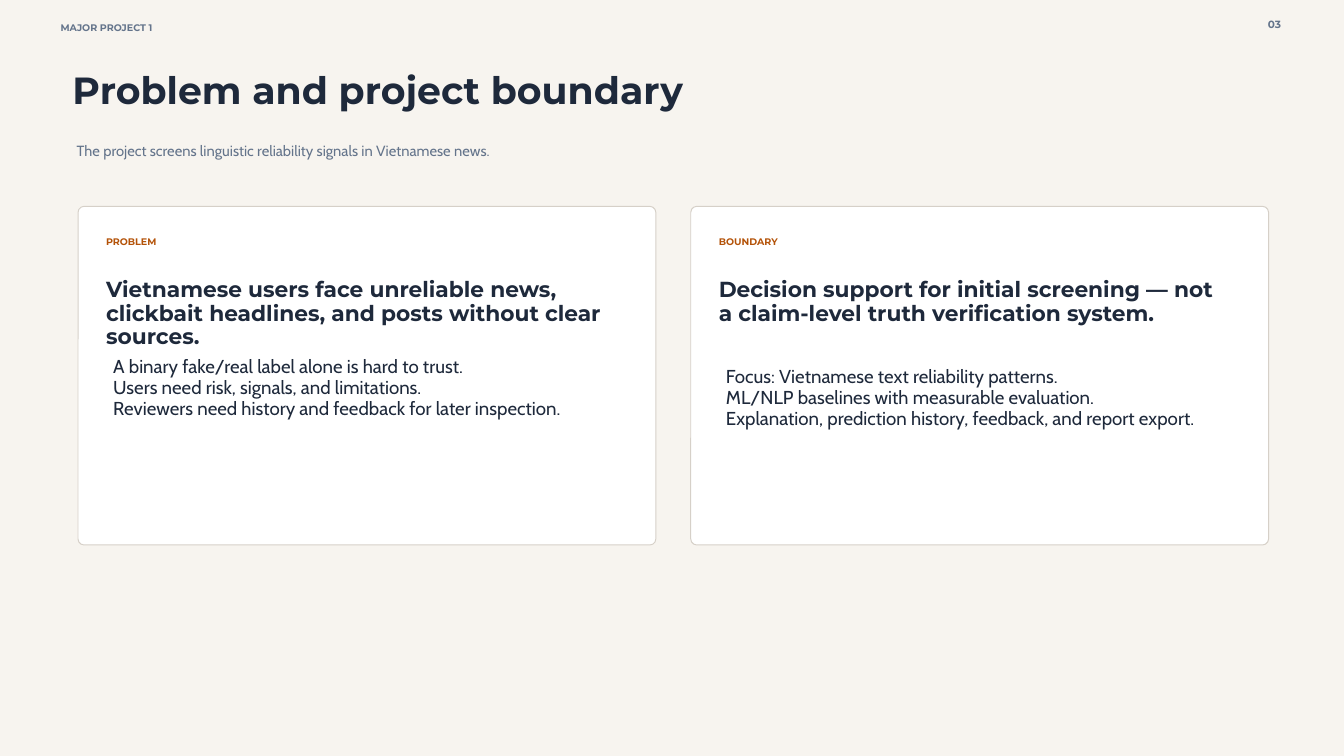
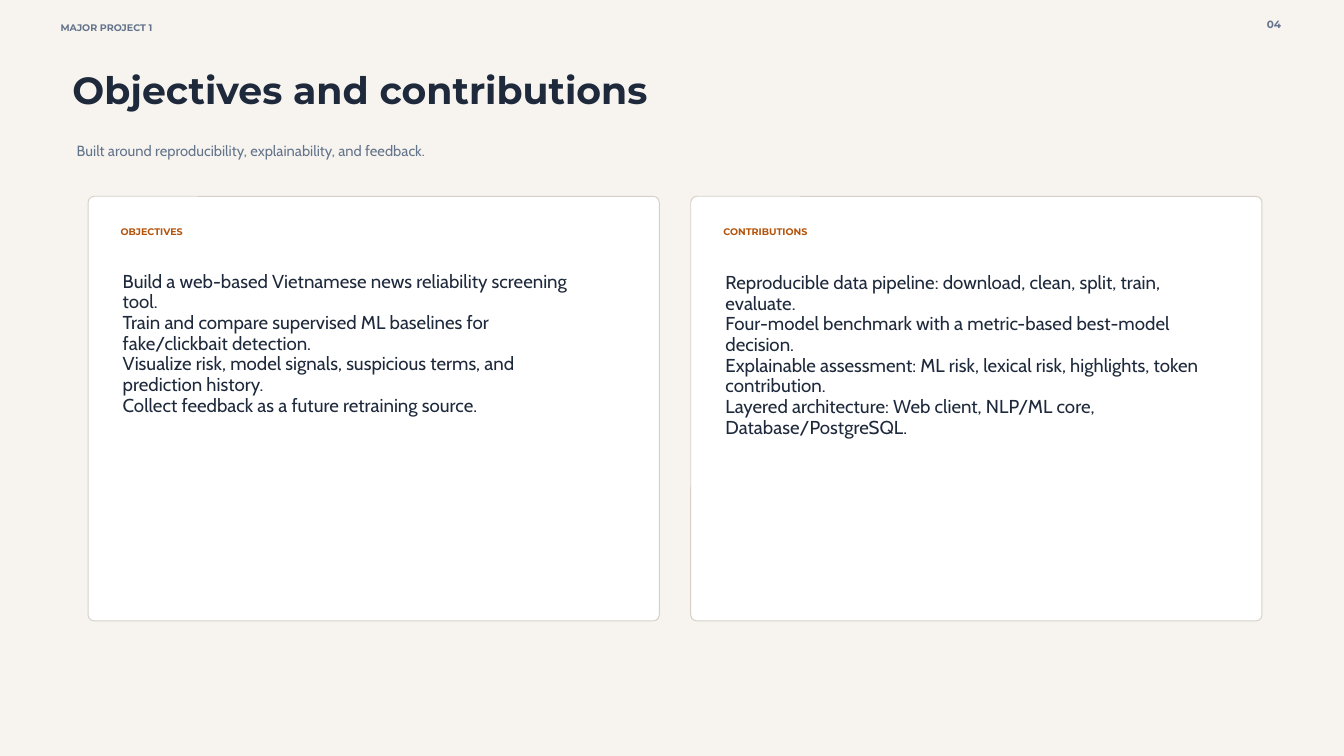
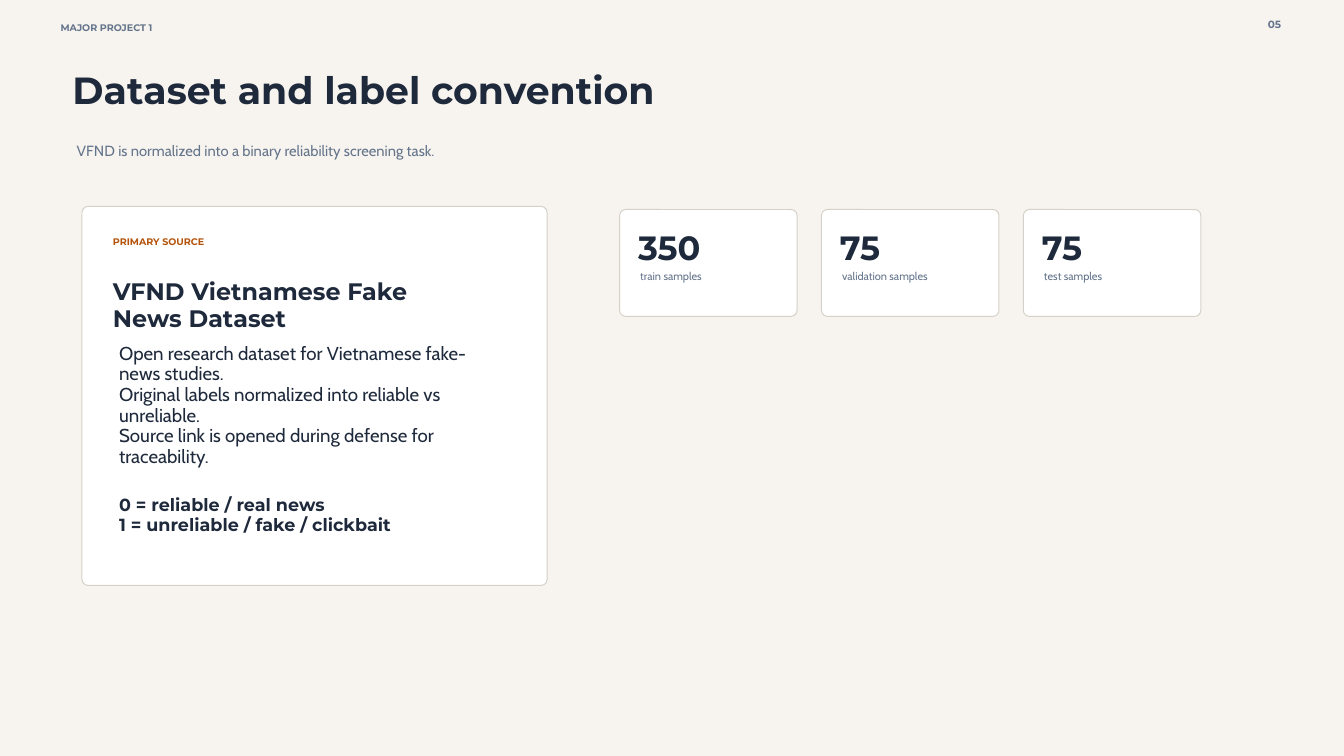
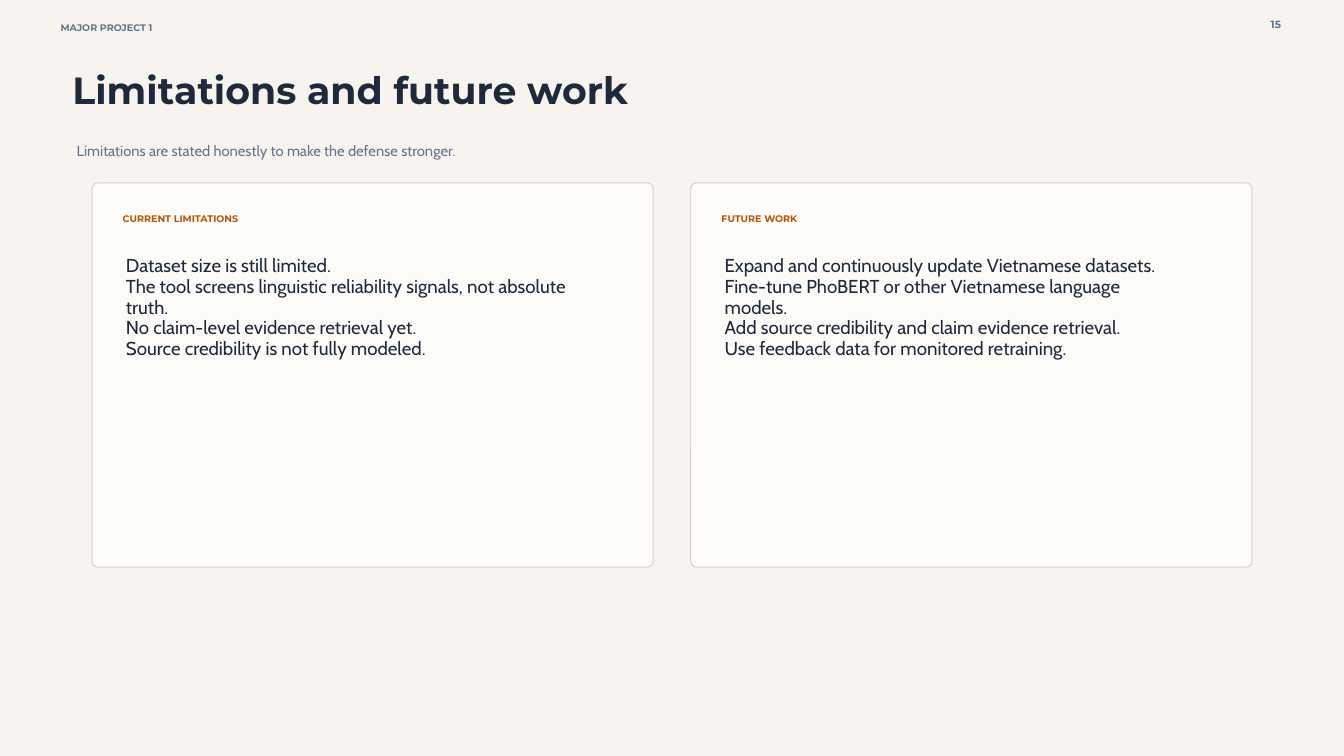
import pptx
import pptx.util
import pptx.dml.color
import pptx.enum.shapes
import pptx.enum.text
from pptx.util import Cm

COLORS = {
    "paper": "F7F4EF",
    "white": "FFFFFF",
    "ivory": "FCFBF8",
    "border": "D6D0C8",
    "ink": "1E293B",
    "muted": "64748B",
    "accent": "B45309",
}

# Text styles: font, size, line spacing, colour, bold
STYLES = {
    "course": ("Montserrat", 10.2, 11.6, "muted", True),
    "number": ("Montserrat", 11.2, 12.8, "muted", True),
    "title": ("Montserrat", 40.5, 39.9, "ink", True),
    "subtitle": ("Cabin", 15.8, 18, "muted", False),
    "label": ("Montserrat", 10.2, 11.6, "accent", True),
    "heading": ("Montserrat", 23.3, 25.1, "ink", True),
    "source": ("Montserrat", 25.5, 29.1, "ink", True),
    "body": ("Cabin", 20, 22.1, "ink", False),
    "codes": ("Montserrat", 18.8, 21.4, "ink", True),
    "value": ("Montserrat", 36, 41.1, "ink", True),
    "caption": ("Cabin", 11.8, 12.8, "muted", False),
}

RIGHT_CARD = 26.11
LABEL_DROP = 1.16
CORNER = 0.23

# Each card: left, label, then texts as (style, inset, top, width, height, lines)
PAGES = [
    {
        "number": "03",
        "title": "Problem and project boundary",
        "subtitle": "The project screens linguistic reliability signals in Vietnamese news.",
        "fill": "white", "top": 7.8, "size": (21.84, 12.8), "inset": 1.06,
        "cards": [
            (2.95, "PROBLEM", [
                ("heading", 1.06, 10.54, 18.87, 1.78, [
                    "Vietnamese users face unreliable news, clickbait headlines, "
                    "and posts without clear sources."]),
                ("body", 1.33, 13.49, 17.91, 2.41, [
                    "A binary fake/real label alone is hard to trust.",
                    "Users need risk, signals, and limitations.",
                    "Reviewers need history and feedback for later inspection."]),
            ]),
            (RIGHT_CARD, "BOUNDARY", [
                ("heading", 1.06, 10.54, 18.87, 2.54, [
                    "Decision support for initial screening — not a claim-level "
                    "truth verification system."]),
                ("body", 1.33, 13.87, 17.91, 2.41, [
                    "Focus: Vietnamese text reliability patterns.",
                    "ML/NLP baselines with measurable evaluation.",
                    "Explanation, prediction history, feedback, and report export."]),
            ]),
        ],
    },
    {
        "number": "04",
        "title": "Objectives and contributions",
        "subtitle": "Built around reproducibility, explainability, and feedback.",
        "fill": "white", "top": 7.42, "size": (21.59, 16.05), "inset": 1.23,
        "cards": [
            (3.33, "OBJECTIVES", [
                ("body", 1.31, 10.26, 17.91, 4.78, [
                    "Build a web-based Vietnamese news reliability screening tool.",
                    "Train and compare supervised ML baselines for fake/clickbait detection.",
                    "Visualize risk, model signals, suspicious terms, and prediction history.",
                    "Collect feedback as a future retraining source."]),
            ]),
            (RIGHT_CARD, "CONTRIBUTIONS", [
                ("body", 1.31, 10.31, 17.91, 6.25, [
                    "Reproducible data pipeline: download, clean, split, train, evaluate.",
                    "Four-model benchmark with a metric-based best-model decision.",
                    "Explainable assessment: ML risk, lexical risk, highlights, token contribution.",
                    "Layered architecture: Web client, NLP/ML core, Database/PostgreSQL."]),
            ]),
        ],
    },
    {
        "number": "05",
        "title": "Dataset and label convention",
        "subtitle": "VFND is normalized into a binary reliability screening task.",
        "fill": "white", "top": 7.8, "size": (17.58, 14.33), "inset": 1.17,
        "cards": [
            (3.1, "PRIMARY SOURCE", [
                ("source", 1.17, 10.52, 13.72, 1.57, ["VFND Vietnamese Fake News Dataset"]),
                ("body", 1.4, 12.98, 14.48, 4.72, [
                    "Open research dataset for Vietnamese fake-news studies.",
                    "Original labels normalized into reliable vs unreliable.",
                    "Source link is opened during defense for traceability."]),
                ("codes", 1.4, 18.72, 14.3, 1.73, [
                    "0 = reliable / real news",
                    "1 = unreliable / fake / clickbait"]),
            ]),
        ],
        "samples": [("350", "train samples"), ("75", "validation samples"), ("75", "test samples")],
    },
    {
        "number": "15",
        "title": "Limitations and future work",
        "subtitle": "Limitations are stated honestly to make the defense stronger.",
        "fill": "ivory", "top": 6.91, "size": (21.21, 14.53), "inset": 1.16,
        "cards": [
            (3.48, "CURRENT LIMITATIONS", [
                ("body", 1.28, 9.68, 16.76, 3.96, [
                    "Dataset size is still limited.",
                    "The tool screens linguistic reliability signals, not absolute truth.",
                    "No claim-level evidence retrieval yet.",
                    "Source credibility is not fully modeled."]),
            ]),
            (RIGHT_CARD, "FUTURE WORK", [
                ("body", 1.28, 9.68, 16.76, 3.2, [
                    "Expand and continuously update Vietnamese datasets.",
                    "Fine-tune PhoBERT or other Vietnamese language models.",
                    "Add source credibility and claim evidence retrieval.",
                    "Use feedback data for monitored retraining."]),
            ]),
        ],
    },
]


def add_text(page, style, left, top, width, height, lines):
    font, size, spacing, color, bold = STYLES[style]
    box = page.shapes.add_textbox(Cm(left), Cm(top), Cm(width), Cm(height))
    frame = box.text_frame
    frame.margin_left = frame.margin_right = frame.margin_top = frame.margin_bottom = 0
    frame.word_wrap = True
    frame.auto_size = pptx.enum.text.MSO_AUTO_SIZE.SHAPE_TO_FIT_TEXT
    frame.text = "\n".join(lines)
    for para in frame.paragraphs:
        para.line_spacing = pptx.util.Pt(spacing)
        if style == "number":
            para.alignment = pptx.enum.text.PP_ALIGN.RIGHT
        for span in para.runs:
            span.font.name = font
            span.font.size = pptx.util.Pt(size)
            span.font.bold = bold
            span.font.color.rgb = pptx.dml.color.RGBColor.from_string(COLORS[color])


def add_card(page, left, top, width, height, fill):
    card = page.shapes.add_shape(
        pptx.enum.shapes.MSO_SHAPE.ROUNDED_RECTANGLE, Cm(left), Cm(top), Cm(width), Cm(height))
    card.adjustments[0] = CORNER / min(width, height)
    card.shadow.inherit = False
    card.fill.solid()
    card.fill.fore_color.rgb = pptx.dml.color.RGBColor.from_string(COLORS[fill])
    card.line.color.rgb = pptx.dml.color.RGBColor.from_string(COLORS["border"])
    card.line.width = pptx.util.Pt(1.05)


deck = pptx.Presentation()
deck.slide_width = Cm(50.8)
deck.slide_height = deck.slide_width * 9 // 16

for content in PAGES:
    page = deck.slides.add_slide(deck.slide_layouts[6])
    page.background.fill.solid()
    page.background.fill.fore_color.rgb = pptx.dml.color.RGBColor.from_string(COLORS["paper"])

    # Header
    add_text(page, "course", 2.29, 0.84, 13.34, 0.69, ["MAJOR PROJECT 1"])
    add_text(page, "number", 46.13, 0.69, 2.29, 0.97, [content["number"]])
    add_text(page, "title", 2.74, 2.84, 29.74, 2.79, [content["title"]])
    add_text(page, "subtitle", 2.9, 5.41, 32.03, 0.71, [content["subtitle"]])

    # Text cards
    top = content["top"]
    for left, label, texts in content["cards"]:
        add_card(page, left, top, *content["size"], content["fill"])
        add_text(page, "label", left + content["inset"], top + LABEL_DROP, 9.91, 0.69, [label])
        for style, inset, text_top, width, height, lines in texts:
            add_text(page, style, left + inset, text_top, width, height, lines)

    # Sample counts
    for index, (value, caption) in enumerate(content.get("samples", [])):
        left = 23.42 + index * 7.63
        add_card(page, left, 7.92, 6.71, 4.04, "white")
        add_text(page, "value", left + 0.7, 8.66, 5.31, 1.17, [value])
        add_text(page, "caption", left + 0.78, 10.24, 5.16, 0.56, [caption])

deck.save("out.pptx")
